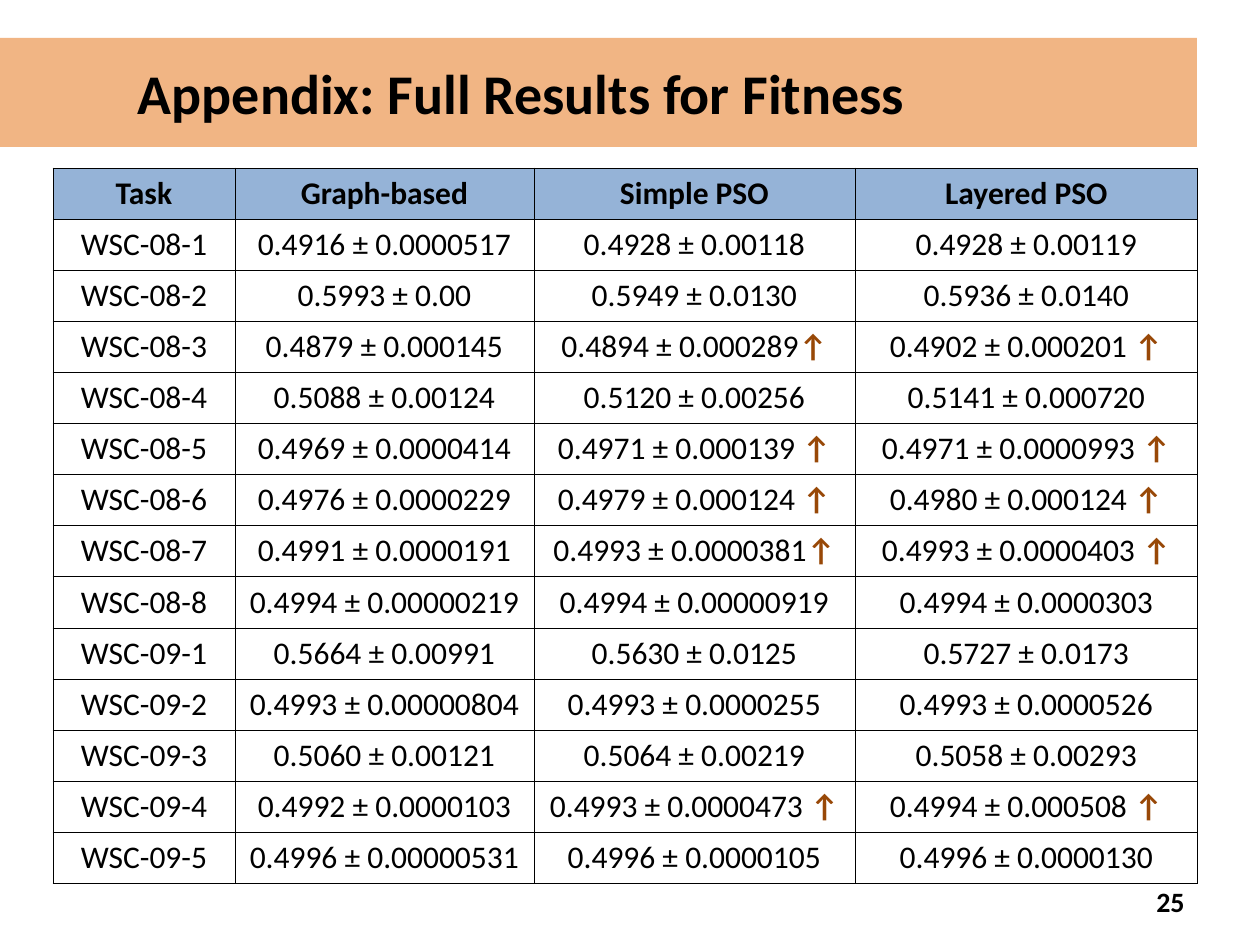
from lxml import etree
from pptx import Presentation
from pptx.dml.color import RGBColor
from pptx.enum.shapes import MSO_SHAPE
from pptx.enum.text import MSO_ANCHOR, PP_ALIGN
from pptx.oxml.ns import qn
from pptx.util import Emu, Pt

RECT = MSO_SHAPE.RECTANGLE
MIDDLE = MSO_ANCHOR.MIDDLE
LEFT, CENTER, RIGHT = PP_ALIGN.LEFT, PP_ALIGN.CENTER, PP_ALIGN.RIGHT

BLACK = RGBColor(0x00, 0x00, 0x00)
WHITE = RGBColor(0xFF, 0xFF, 0xFF)
ORANGE = RGBColor(0xE4, 0x6C, 0x0A)
BLUE = RGBColor(0x95, 0xB3, 0xD7)
BROWN = RGBColor(0x98, 0x48, 0x07)

ARROW = "↑"
WIDTHS = (182, 299, 321, 343)
HEADS = ("Task", "Graph-based", "Simple PSO", "Layered PSO")
RESULTS = (
    ("WSC-08-1", "0.4916 ± 0.0000517", "0.4928 ± 0.00118", "0.4928 ± 0.00119"),
    ("WSC-08-2", "0.5993 ± 0.00", "0.5949 ± 0.0130", "0.5936 ± 0.0140"),
    ("WSC-08-3", "0.4879 ± 0.000145", "0.4894 ± 0.000289↑", "0.4902 ± 0.000201 ↑"),
    ("WSC-08-4", "0.5088 ± 0.00124", "0.5120 ± 0.00256", "0.5141 ± 0.000720"),
    ("WSC-08-5", "0.4969 ± 0.0000414", "0.4971 ± 0.000139 ↑", "0.4971 ± 0.0000993 ↑"),
    ("WSC-08-6", "0.4976 ± 0.0000229", "0.4979 ± 0.000124 ↑", "0.4980 ± 0.000124 ↑"),
    ("WSC-08-7", "0.4991 ± 0.0000191", "0.4993 ± 0.0000381↑", "0.4993 ± 0.0000403 ↑"),
    ("WSC-08-8", "0.4994 ± 0.00000219", "0.4994 ± 0.00000919", "0.4994 ± 0.0000303"),
    ("WSC-09-1", "0.5664 ± 0.00991", "0.5630 ± 0.0125", "0.5727 ± 0.0173"),
    ("WSC-09-2", "0.4993 ± 0.00000804", "0.4993 ± 0.0000255", "0.4993 ± 0.0000526"),
    ("WSC-09-3", "0.5060 ± 0.00121", "0.5064 ± 0.00219", "0.5058 ± 0.00293"),
    ("WSC-09-4", "0.4992 ± 0.0000103", "0.4993 ± 0.0000473 ↑", "0.4994 ± 0.000508 ↑"),
    ("WSC-09-5", "0.4996 ± 0.00000531", "0.4996 ± 0.0000105", "0.4996 ± 0.0000130"),
)


def px(count):
    """Turn pixels into EMU."""
    return Emu(round(count * 914400 / 126))


class Deck:
    """Hold the style and the current slide."""

    font = "Calibri"

    def __init__(self, wide, high):
        """Open a deck with one blank slide."""
        self.prs = Presentation()
        self.prs.slide_width, self.prs.slide_height = px(wide), px(high)
        self.slide = self.prs.slides.add_slide(self.prs.slide_layouts[6])

    def put_text(self, frame, runs, size, align):
        """Fill the first paragraph with (text, bold, colour) runs."""
        para = frame.paragraphs[0]
        para.alignment = align
        for text, bold, color in runs:
            run = para.add_run()
            run.text = text
            font = run.font
            font.name, font.size, font.bold = self.font, Pt(size), bold
            font.color.rgb = color

    def banner(self, box, text, size, color, alpha, inset):
        """Add a see-through title bar."""
        shape = self.slide.shapes.add_shape(RECT, *map(px, box))
        shape.shadow.inherit = False
        shape.line.fill.background()
        shape.fill.solid()
        shape.fill.fore_color.rgb = color
        tint = next(shape.element.spPr.iter(qn("a:srgbClr")))
        etree.SubElement(tint, qn("a:alpha"), val=str(alpha * 1000))
        frame = shape.text_frame
        frame.vertical_anchor = MIDDLE
        frame.margin_left = px(inset)
        self.put_text(frame, [(text, True, BLACK)], size, LEFT)

    def label(self, box, text, size, align):
        """Add a bold text box."""
        frame = self.slide.shapes.add_textbox(*map(px, box)).text_frame
        frame.word_wrap = True
        frame.vertical_anchor = MIDDLE
        self.put_text(frame, [(text, True, BLACK)], size, align)

    def border(self, cell):
        """Draw a thin black line on all four sides of a cell."""
        props = cell._tc.get_or_add_tcPr()
        for side in ("lnL", "lnR", "lnT", "lnB"):
            line = etree.SubElement(props, qn(f"a:{side}"), w=str(Pt(0.45)))
            fill = etree.SubElement(line, qn("a:solidFill"))
            etree.SubElement(fill, qn("a:srgbClr"), val=str(BLACK))

    def table(self, left, top, high, widths, rows, size):
        """Add a grid with a tinted head row and coloured arrows."""
        box = (left, top, sum(widths), high)
        frame = self.slide.shapes.add_table(len(rows), len(widths), *map(px, box))
        grid = frame.table
        grid.horz_banding = False
        for column, width in zip(grid.columns, widths):
            column.width = px(width)
        for r, row in enumerate(rows):
            head = r == 0
            for c, text in enumerate(row):
                cell = grid.cell(r, c)
                self.border(cell)
                cell.fill.solid()
                cell.fill.fore_color.rgb = BLUE if head else WHITE
                value, mark, _ = text.partition(ARROW)
                runs = [(value, head, BLACK)]
                if mark:
                    runs.append((mark, True, BROWN))
                self.put_text(cell.text_frame, runs, size, CENTER)


def main():
    """Build the results slide."""
    deck = Deck(1260, 945)
    deck.banner((0, 38, 1197, 109), "Appendix: Full Results for Fitness", 32, ORANGE, 50, 138)
    deck.label((903, 876, 294, 50), "25", 16, RIGHT)
    deck.table(53, 168, 716, WIDTHS, (HEADS, *RESULTS), 18)
    deck.prs.save("out.pptx")


if __name__ == "__main__":
    main()
